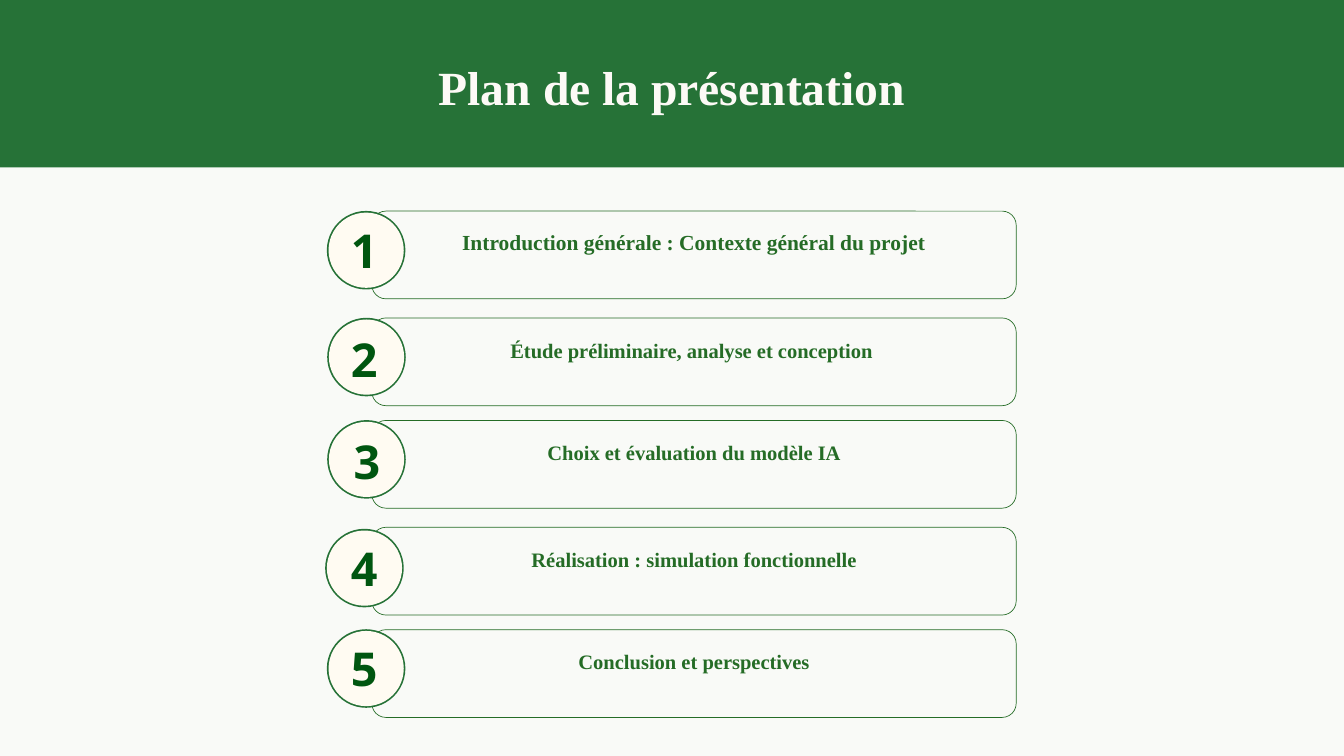
from dataclasses import dataclass

from pptx import Presentation
from pptx.dml.color import RGBColor
from pptx.enum.shapes import MSO_SHAPE as SHAPE
from pptx.enum.text import MSO_ANCHOR as ANCHOR, PP_ALIGN as ALIGN
from pptx.util import Pt

CARD_LEFT, CARD_WIDTH, CARD_HEIGHT = 398.4, 690.4, 94
DISC, RING = 84.2, 1.8


def rgb(value):
    return RGBColor.from_string(value)


@dataclass
class Deck:
    slide: object
    serif: str = "Times New Roman"
    sans: str = "Open Sans"
    green: str = "267237"
    text_green: str = "256C26"
    digit_green: str = "005610"
    cream: str = "FFFBF2"
    title_color: str = "FDFAF6"
    background: str = "F9FAF7"

    def paint_background(self):
        fill = self.slide.background.fill
        fill.solid()
        fill.fore_color.rgb = rgb(self.background)

    def shape(self, kind, box, fill=None, line=None):
        sp = self.slide.shapes.add_shape(kind, *map(Pt, box))
        sp.shadow.inherit = False
        if fill:
            sp.fill.solid()
            sp.fill.fore_color.rgb = rgb(fill)
        else:
            sp.fill.background()
        if line:
            sp.line.color.rgb = rgb(line)
            sp.line.width = Pt(0.75)
        else:
            sp.line.fill.background()
        return sp

    def set_text(self, sp, text, size, font, color, spacing, anchor=ANCHOR.TOP, inset=0):
        """Fill a text holder with one bold, centred paragraph."""
        tf = sp.text_frame
        tf.word_wrap = True
        tf.vertical_anchor = anchor
        tf.margin_left = tf.margin_right = tf.margin_top = tf.margin_bottom = Pt(inset)
        p = tf.paragraphs[0]
        p.alignment = ALIGN.CENTER
        p.line_spacing = Pt(spacing)
        r = p.add_run()
        r.text = text
        r.font.size = Pt(size)
        r.font.name = font
        r.font.bold = True
        r.font.color.rgb = rgb(color)

    def text_box(self, box, *args, **kwargs):
        self.set_text(self.slide.shapes.add_textbox(*map(Pt, box)), *args, **kwargs)

    def header(self, text):
        title = self.slide.shapes.title
        title.left, title.top, title.width, title.height = map(Pt, (389.5, 51.8, 661, 68.4))
        self.set_text(title, text, 51, self.serif, self.title_color, 71.4)
        band = self.shape(SHAPE.RECTANGLE, (0, 0, 1440, 179.5), self.green)
        title.element.addprevious(band.element)

    def card(self, top, text, size):
        sp = self.shape(SHAPE.ROUNDED_RECTANGLE, (CARD_LEFT, top, CARD_WIDTH, CARD_HEIGHT),
                        line=self.text_green)
        sp.adjustments[0] = 0.16
        # The label is taller than its card and ends on the card's lower edge.
        height = 80 + 2 * size
        self.text_box((CARD_LEFT, top + CARD_HEIGHT - height, CARD_WIDTH, height), text, size,
                      self.serif, self.text_green, 1.4 * size, anchor=ANCHOR.MIDDLE, inset=4)

    def badge(self, left, top, digit, digit_left, digit_top):
        inner = DISC - 2 * RING
        self.shape(SHAPE.OVAL, (left, top, DISC, DISC), self.green)
        self.shape(SHAPE.OVAL, (left + RING, top + RING, inner, inner), self.cream)
        self.text_box((digit_left, digit_top, 28.8, 67.7), digit, 50, self.sans,
                      self.digit_green, 70)


# Label, label size, card top, badge left and top, digit left and top
ITEMS = [
    ("Introduction générale : Contexte général du projet", 23, 226.2, 350.2, 226, 375.8, 228.2),
    ("Étude préliminaire, analyse et conception ", 22, 340.7, 350.6, 340.5, 375.8, 344.2),
    ("Choix et évaluation du modèle IA", 22, 450.5, 350.6, 450.1, 378.7, 454.3),
    ("Réalisation : simulation fonctionnelle", 22, 565, 348.4, 566.6, 375.8, 568.8),
    ("Conclusion et perspectives", 22, 674.7, 350.2, 674.2, 375.8, 676.1),
]


def main():
    prs = Presentation()
    prs.slide_width, prs.slide_height = Pt(1440), Pt(810)
    deck = Deck(prs.slides.add_slide(prs.slide_layouts[5]))
    deck.paint_background()
    deck.header("Plan de la présentation")
    for number, (label, size, top, left, disc_top, digit_left, digit_top) in enumerate(ITEMS, 1):
        deck.card(top, label, size)
        deck.badge(left, disc_top, str(number), digit_left, digit_top)
    prs.save("out.pptx")


if __name__ == "__main__":
    main()
